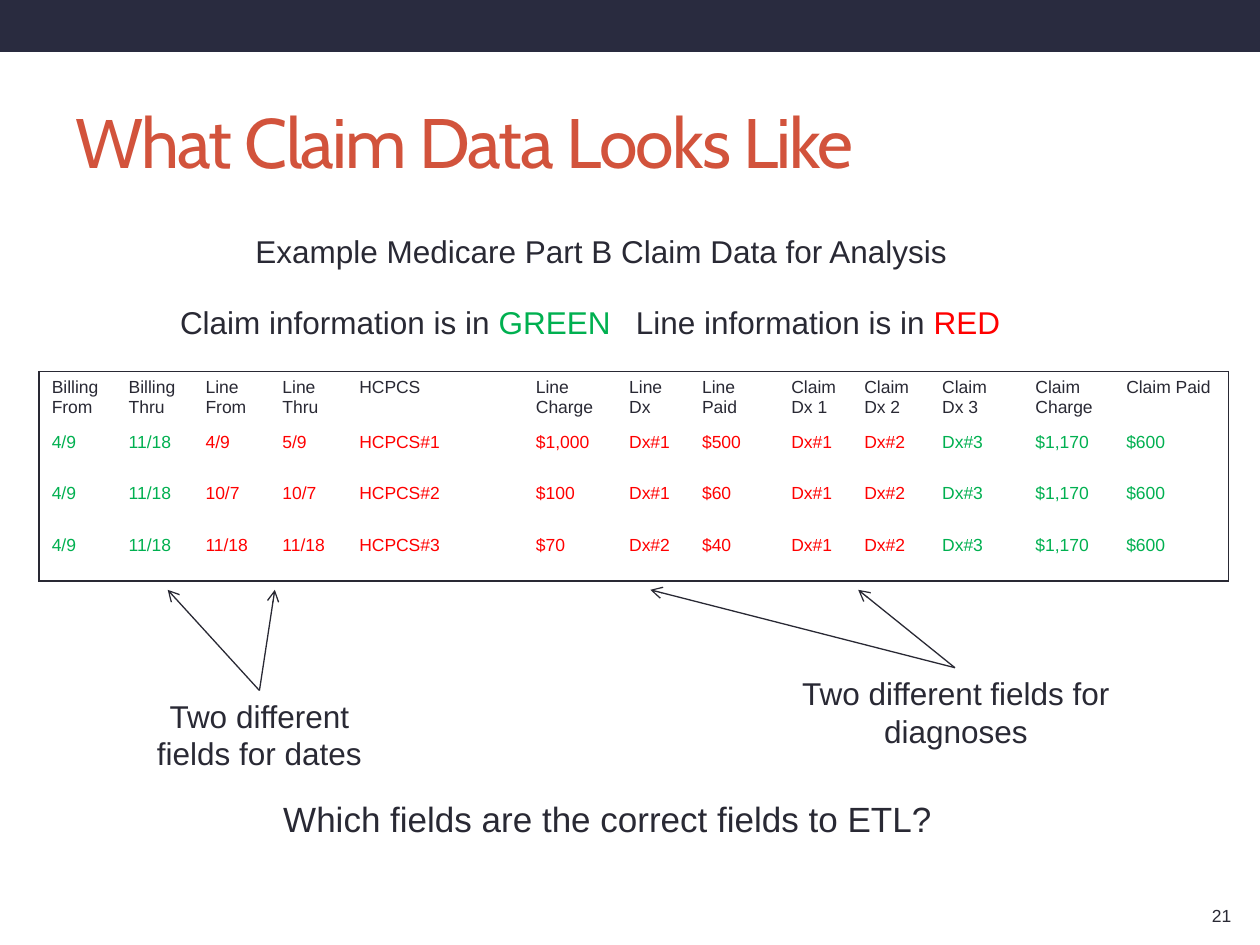
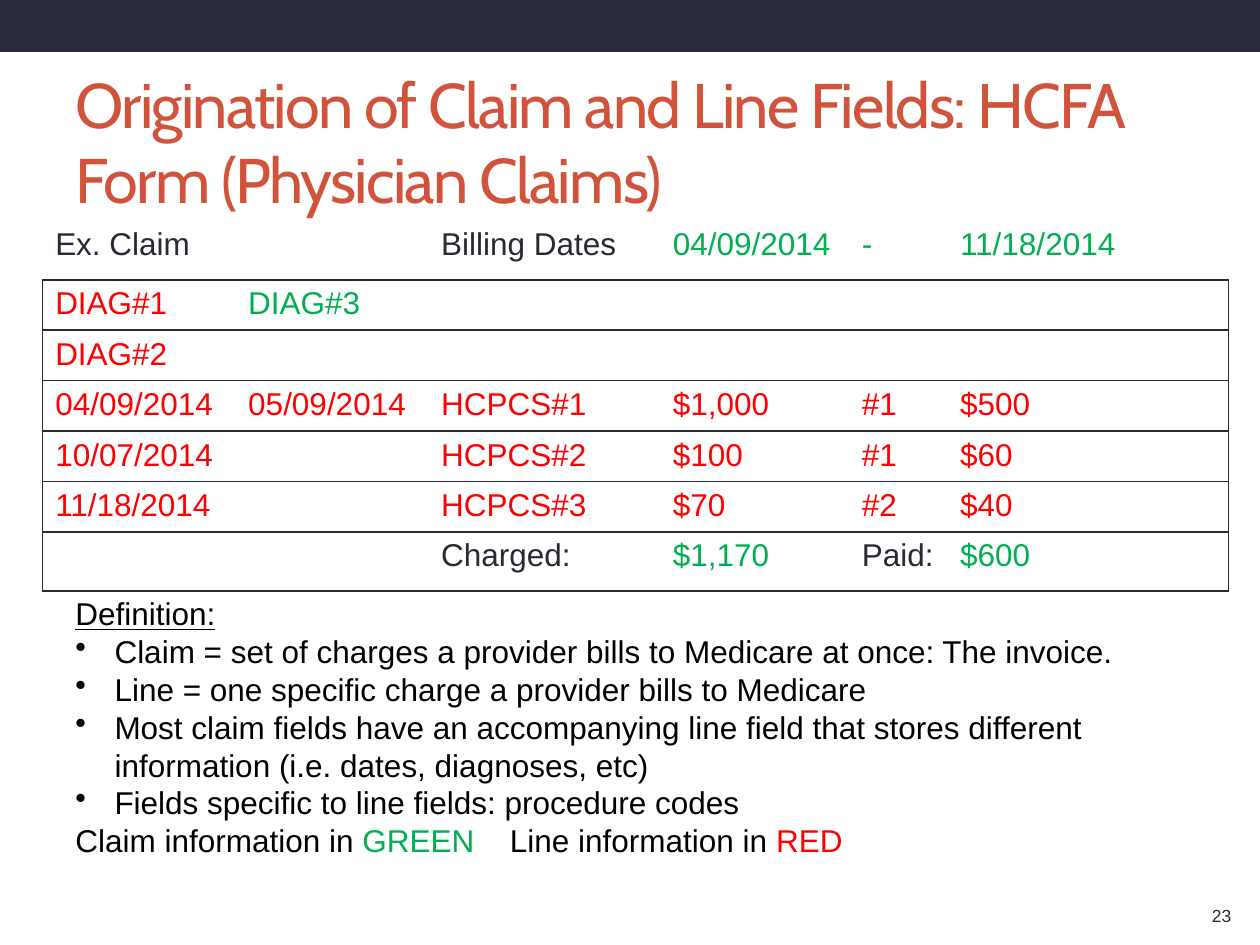
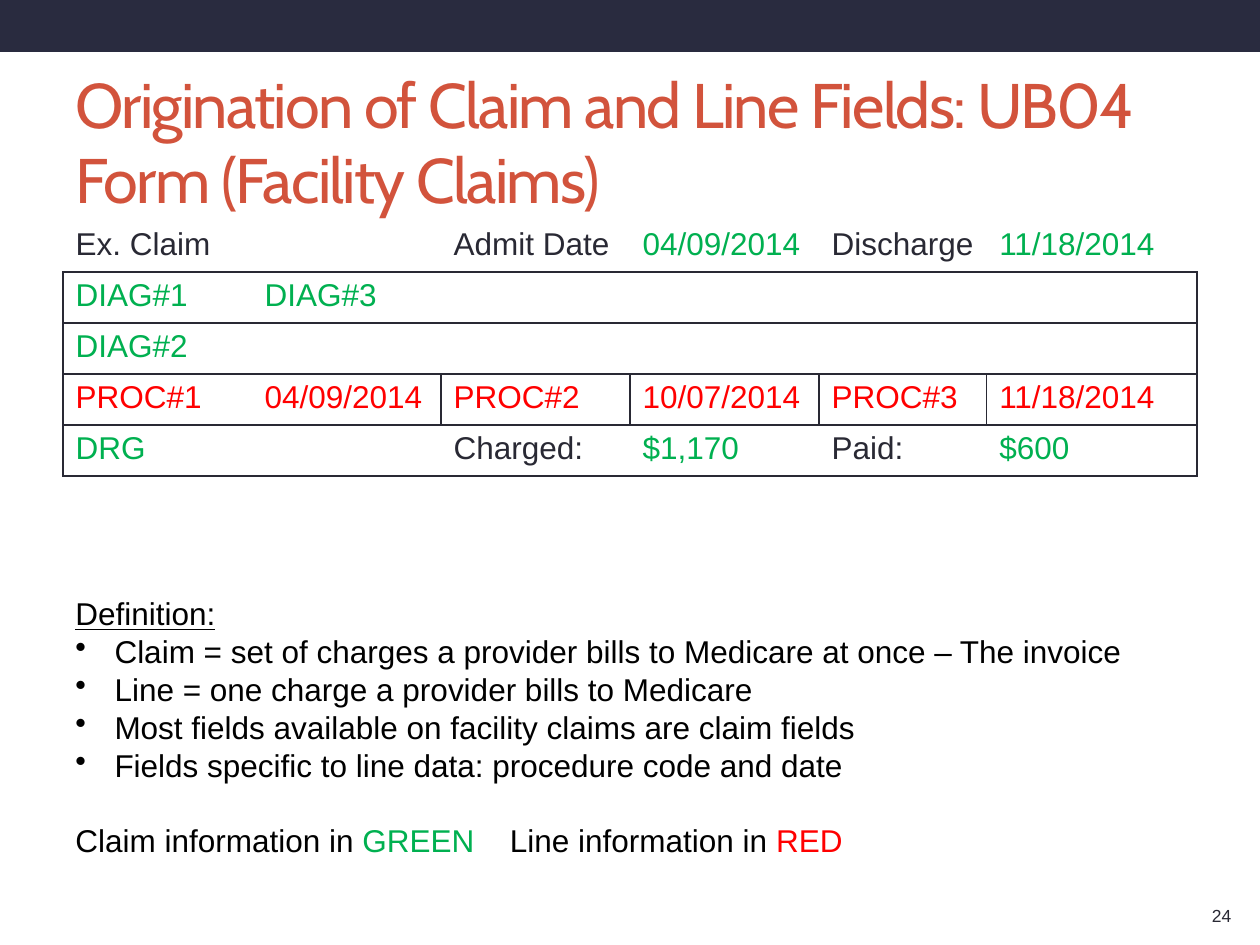
from lxml import etree
from pptx import Presentation
from pptx.dml.color import RGBColor
from pptx.enum.shapes import MSO_CONNECTOR, MSO_SHAPE
from pptx.enum.text import MSO_ANCHOR, PP_ALIGN
from pptx.oxml.ns import qn
from pptx.util import Cm, Pt

LINE = MSO_CONNECTOR.STRAIGHT
RECT = MSO_SHAPE.RECTANGLE
MIDDLE = MSO_ANCHOR.MIDDLE
LEFT, CENTER = PP_ALIGN.LEFT, PP_ALIGN.CENTER
PLAIN = "{2D5ABB26-0587-4C30-8999-92F81FD0307C}"  # table style without grid

HEX = {
    "band": "292B3F",
    "title": "D2533C",
    "text": "292934",
    "black": "000000",
    "green": "00B050",
    "red": "FF0000",
}
COLS = {key: RGBColor.from_string(val) for key, val in HEX.items()}
CODES = {"t": "text", "g": "green", "r": "red"}


def fill(frame, paras, size, font="Arial", align=LEFT):
    """Write paragraphs, each a list of (text, colour) runs."""
    frame.word_wrap = True
    for i, runs in enumerate(paras):
        para = frame.add_paragraph() if i else frame.paragraphs[0]
        para.alignment = align
        para.font.name, para.font.size = font, Pt(size)
        for text, col in runs:
            run = para.add_run()
            run.text = text
            run.font.color.rgb = COLS[col]


def write(slide, box, paras, size, font="Arial", align=LEFT):
    frame = slide.shapes.add_textbox(*map(Cm, box)).text_frame
    fill(frame, paras, size, font, align)
    return frame


deck = Presentation()
deck.slide_width, deck.slide_height = Cm(25.4), Cm(19.05)

# Band, number and title of every slide
heads = [
    ("21", "What Claim Data Looks Like", 40),
    ("23", "Origination of Claim and Line Fields: HCFA Form (Physician Claims)", 36),
    ("24", "Origination of Claim and Line Fields: UB04 Form (Facility Claims)", 36),
]
slides = []
for num, title, size in heads:
    slide = deck.slides.add_slide(deck.slide_layouts[6])
    slides.append(slide)
    band = slide.shapes.add_shape(RECT, 0, 0, deck.slide_width, Cm(1.02))
    band.shadow.inherit = False
    band.fill.solid()
    band.fill.fore_color.rgb = band.line.color.rgb = COLS["band"]
    band.line.width = Pt(2)
    write(slide, (24.18, 18.11, 1.02, 0.69), [[(num, "text")]], 10)
    frame = write(slide, (1.27, 1.47, 22.86, 2.74), [[(title, "title")]], size, "Cabin")
    frame.vertical_anchor = MIDDLE
    frame.paragraphs[0].runs[0].font._element.set("spc", "-100")

# Tables: place, font size, column widths, row heights,
# rows as (colour codes, cells), frames as (top, left, bottom, right) cells
tables = [
    (
        (0.79, 7.49), 10,
        [1.55] * 4 + [3.56, 1.88, 1.47, 1.8, 1.47, 1.57, 1.88, 1.83, 2.31],
        [1.04] * 4,
        [
            ("t" * 13, "Billing From|Billing Thru|Line From|Line Thru|HCPCS|Line Charge|Line Dx"
             "|Line Paid|Claim Dx 1|Claim Dx 2|Claim Dx 3|Claim Charge|Claim Paid"),
            ("ggrrrrrrrrggg",
             "4/9|11/18|4/9|5/9|HCPCS#1|$1,000|Dx#1|$500|Dx#1|Dx#2|Dx#3|$1,170|$600"),
            ("ggrrrrrrrrggg",
             "4/9|11/18|10/7|10/7|HCPCS#2|$100|Dx#1|$60|Dx#1|Dx#2|Dx#3|$1,170|$600"),
            ("ggrrrrrrrrggg",
             "4/9|11/18|11/18|11/18|HCPCS#3|$70|Dx#2|$40|Dx#1|Dx#2|Dx#3|$1,170|$600"),
        ],
        [(0, 0, 3, 12)],
    ),
    (
        (0.86, 4.45), 18,
        [3.89, 3.89, 4.67, 3.81, 1.98, 5.66],
        [1.19] + [1.01] * 5 + [1.19],
        [
            ("tttggg", "Ex. Claim||Billing Dates|04/09/2014|-|11/18/2014"),
            ("rggggg", "DIAG#1|DIAG#3||||"),
            ("rrrrrr", "DIAG#2|||||"),
            ("rrrrrr", "04/09/2014|05/09/2014|HCPCS#1|$1,000|#1|$500"),
            ("rrrrrr", "10/07/2014||HCPCS#2|$100|#1|$60"),
            ("rrrrrr", "11/18/2014||HCPCS#3|$70|#2|$40"),
            ("tttgtg", "||Charged:|$1,170|Paid:|$600"),
        ],
        [(1, 0, 1, 5), (2, 0, 2, 5), (3, 0, 3, 5), (4, 0, 5, 5), (6, 0, 6, 5)],
    ),
    (
        (1.27, 4.45), 18,
        [3.81] * 4 + [3.38, 4.24],
        [1.03] * 5,
        [
            ("tttgtg", "Ex. Claim||Admit Date|04/09/2014|Discharge|11/18/2014"),
            ("gggggg", "DIAG#1|DIAG#3||||"),
            ("gggggg", "DIAG#2|||||"),
            ("rrrrrr", "PROC#1|04/09/2014|PROC#2|10/07/2014|PROC#3|11/18/2014"),
            ("gttgtg", "DRG||Charged:|$1,170|Paid:|$600"),
        ],
        [(1, 0, 1, 5), (2, 0, 2, 5), (3, 0, 3, 1)]
        + [(3, col, 3, col) for col in range(2, 6)]
        + [(4, 0, 4, 5)],
    ),
]
for slide, (place, size, wides, highs, rows, frames) in zip(slides, tables):
    shape = slide.shapes.add_table(
        len(highs), len(wides), *map(Cm, place), Cm(sum(wides)), Cm(sum(highs)))
    table = shape.table
    table.first_row = table.horz_banding = False
    shape._element.find(".//" + qn("a:tableStyleId")).text = PLAIN
    for col, wide in zip(table.columns, wides):
        col.width = Cm(wide)
    for row, high in zip(table.rows, highs):
        row.height = Cm(high)
    for r, (codes, line) in enumerate(rows):
        for c, (code, text) in enumerate(zip(codes, line.split("|"))):
            cell = table.cell(r, c)
            cell.fill.background()
            if text:
                fill(cell.text_frame, [[(text, CODES[code])]], size)
    # Frames around groups of cells
    for top, left, low, right in frames:
        for r in range(top, low + 1):
            for c in range(left, right + 1):
                props = table.cell(r, c)._tc.get_or_add_tcPr()
                sides = [("L", c == left), ("R", c == right), ("T", r == top), ("B", r == low)]
                drawn = [side for side, edge in sides if edge]
                for i, side in enumerate(drawn):
                    edge = etree.Element(qn("a:ln" + side), w=str(Pt(1)))
                    solid = etree.SubElement(edge, qn("a:solidFill"))
                    etree.SubElement(solid, qn("a:srgbClr"), val=HEX["text"])
                    props.insert(i, edge)

# Claim data: captions
first = slides[0]
key = write(first, (3.38, 5.99, 19, 1.02), [[
    ("Claim information is in ", "text"), ("GREEN", "green"),
    ("\tLine information is in ", "text"), ("RED", "red")]], 18)
notes = [
    ((4.9, 4.55, 16.41, 1.02), "Example Medicare Part B Claim Data for Analysis", 18, LEFT),
    ((2.46, 13.92, 5.54, 1.8), "Two different fields for dates", 18, CENTER),
    ((15.7, 13.46, 7.14, 1.8), "Two different fields for diagnoses", 18, CENTER),
    ((5.46, 15.95, 14.07, 1.12), "Which fields are the correct fields to ETL?", 20, LEFT),
]
for box, text, size, align in notes:
    write(first, box, [[(text, "text")]], size, align=align)

# Claim data: arrows from captions to columns
for x, y, ends in [(5.23, 13.92, (3.38, 5.54)), (19.25, 13.46, (13.11, 17.3))]:
    for end in ends:
        arrow = first.shapes.add_connector(LINE, Cm(x), Cm(y), Cm(end), Cm(11.89))
        arrow.line.color.rgb = COLS["text"]
        arrow.line.width = Pt(0.75)
        etree.SubElement(arrow.line._get_or_add_ln(), qn("a:tailEnd"), type="arrow")
        etree.SubElement(arrow._element.spPr, qn("a:effectLst"))

# Definitions under the two forms
defs = [
    (23.47, 0, [
        "Claim = set of charges a provider bills to Medicare at once: The invoice.",
        "Line = one specific charge a provider bills to Medicare",
        "Most claim fields have an accompanying line field that stores different "
        "information (i.e. dates, diagnoses, etc)",
        "Fields specific to line fields: procedure codes",
    ]),
    (22.66, 21.6, [
        "Claim = set of charges a provider bills to Medicare at once – The invoice",
        "Line = one charge a provider bills to Medicare",
        "Most fields available on facility claims are claim fields",
        "Fields specific to line data: procedure code and date",
    ]),
]
legends = [(key.paragraphs[0], 9.19)]
for slide, (wide, gap, points) in zip(slides[1:], defs):
    paras = [[(text, "black")] for text in ["Definition:"] + points]
    paras.append([("Claim information in ", "black"), ("GREEN", "green"),
                  ("\tLine information in ", "black"), ("RED", "red")])
    frame = write(slide, (1.27, 11.86, wide, 5.64), paras, 18)
    head, *items, last = frame.paragraphs
    head.runs[0].font.underline = True
    for item in items:
        props = item._p.get_or_add_pPr()
        props.set("marL", str(Cm(0.79)))
        props.set("indent", str(-Cm(0.79)))
        props.insert(0, etree.Element(qn("a:buChar"), char="•"))
    legends.append((last, 8.76))
    last.space_before = Pt(gap)

# Tab stops that part the two halves of each legend
for para, stop in legends:
    tabs = etree.Element(qn("a:tabLst"))
    etree.SubElement(tabs, qn("a:tab"), pos=str(Cm(stop)), algn="l")
    props = para._p.get_or_add_pPr()
    props.insert(len(props) - 1, tabs)

deck.save("out.pptx")
